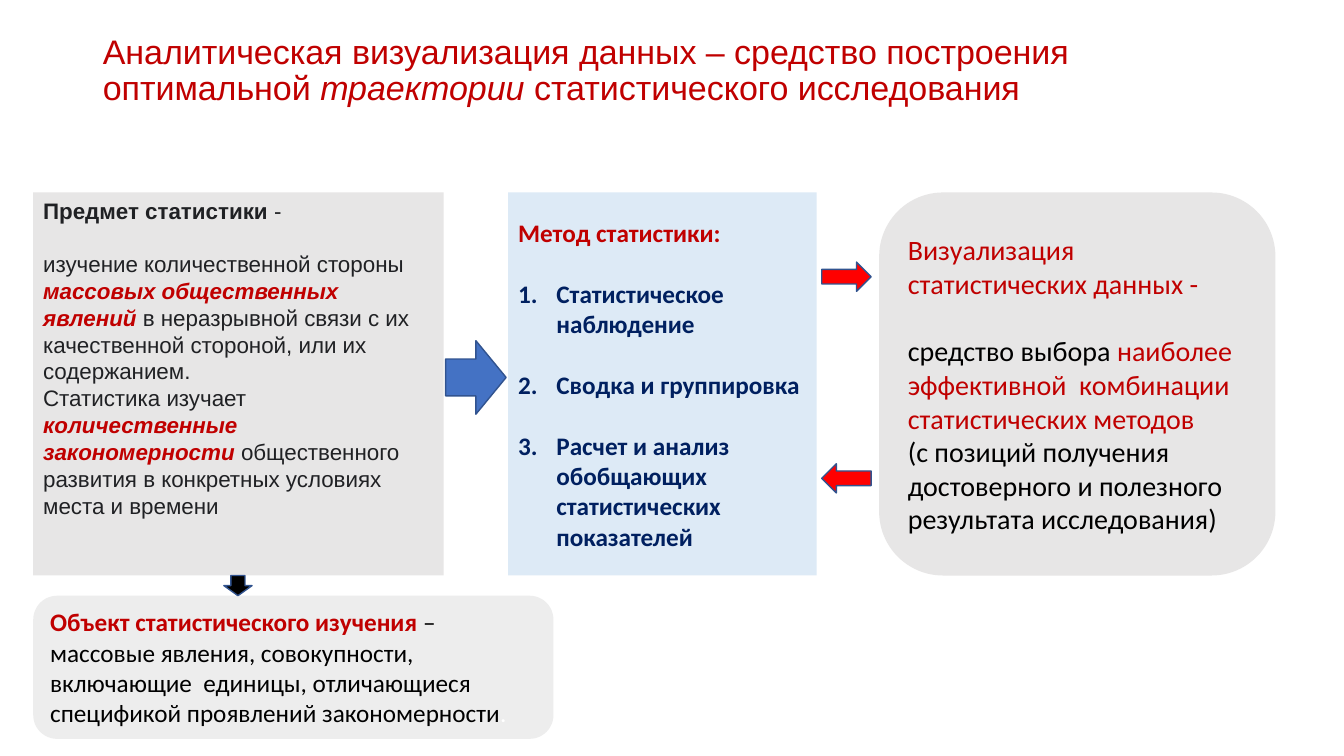
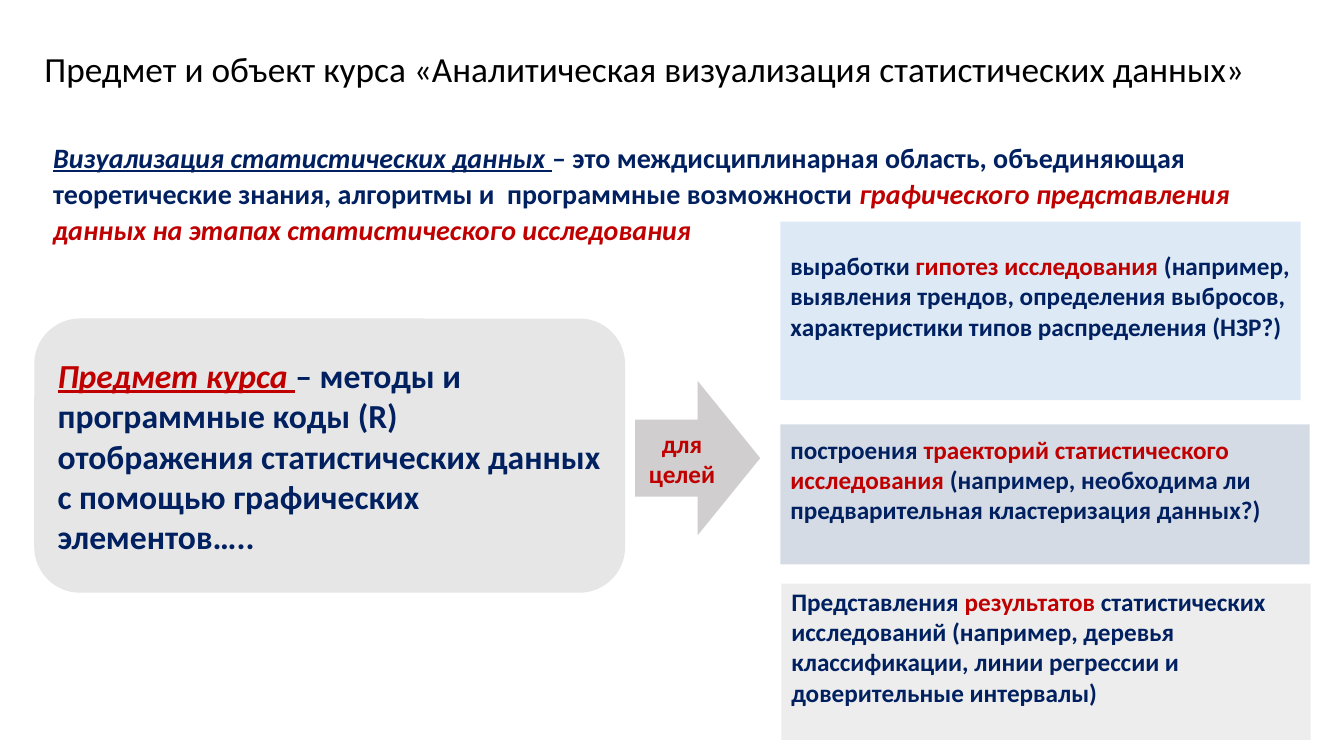
from dataclasses import dataclass

from lxml import etree
from pptx import Presentation
from pptx.dml.color import RGBColor
from pptx.enum.shapes import MSO_SHAPE
from pptx.enum.text import MSO_ANCHOR, MSO_AUTO_SIZE, PP_ALIGN
from pptx.oxml.ns import qn
from pptx.util import Inches, Pt

RECTANGLE = MSO_SHAPE.RECTANGLE
ROUNDED = MSO_SHAPE.ROUNDED_RECTANGLE
RIGHT_ARROW = MSO_SHAPE.RIGHT_ARROW
LEFT_ARROW = MSO_SHAPE.LEFT_ARROW
DOWN_ARROW = MSO_SHAPE.DOWN_ARROW
TOP = MSO_ANCHOR.TOP
MIDDLE = MSO_ANCHOR.MIDDLE
LEFT = PP_ALIGN.LEFT
CENTER = PP_ALIGN.CENTER
NO_AUTO_SIZE = MSO_AUTO_SIZE.NONE

BLACK = RGBColor(0x00, 0x00, 0x00)
WHITE = RGBColor(0xFF, 0xFF, 0xFF)
CHARCOAL = RGBColor(0x20, 0x21, 0x24)
CRIMSON = RGBColor(0xC0, 0x00, 0x00)
NAVY = RGBColor(0x00, 0x20, 0x60)
RED = RGBColor(0xFF, 0x00, 0x00)
BLUE = RGBColor(0x44, 0x72, 0xC4)
OUTLINE_BLUE = RGBColor(0x31, 0x53, 0x8F)
GRAY = RGBColor(0xE7, 0xE6, 0xE6)
LIGHT_GRAY = RGBColor(0xED, 0xED, 0xED)
ARROW_GRAY = RGBColor(0xD0, 0xCE, 0xCE)
PALE_BLUE = RGBColor(0xDD, 0xEA, 0xF6)
STEEL = RGBColor(0xD5, 0xDB, 0xE5)


@dataclass
class Run:
    text: str
    color: RGBColor
    bold: bool
    italic: bool
    underline: bool


@dataclass
class Line:
    runs: list
    space_before: float = 0
    numbered: bool = False


def run(text, color=BLACK, bold=False, italic=False, underline=False):
    return Run(text, color, bold, italic, underline)


class Deck:
    def __init__(self):
        self.presentation = Presentation()
        self.presentation.slide_width = Inches(13.33)
        self.presentation.slide_height = Inches(7.5)
        self.slide = None

    def new_slide(self, runs, left, top, width, height, size, font="Calibri"):
        layout = self.presentation.slide_layouts[5]
        self.slide = self.presentation.slides.add_slide(layout)
        title = self.slide.shapes.title
        title.left, title.top = Inches(left), Inches(top)
        title.width, title.height = Inches(width), Inches(height)
        self.fill_text(title, [Line(runs)], size, font, line_spacing=0.9)

    def fill_text(self, shape, lines, size, font="Calibri", align=LEFT,
                  anchor=MIDDLE, line_spacing=1.0, bottom=0.05):
        frame = shape.text_frame
        frame.word_wrap = True
        frame.auto_size = NO_AUTO_SIZE
        frame.vertical_anchor = anchor
        frame.margin_left = frame.margin_right = Inches(0.1)
        frame.margin_top = Inches(0.05)
        frame.margin_bottom = Inches(bottom)
        for index, line in enumerate(lines):
            paragraph = frame.add_paragraph() if index else frame.paragraphs[0]
            paragraph.alignment = align
            paragraph.line_spacing = line_spacing
            paragraph.space_before = Pt(line.space_before)
            if line.numbered:
                self.number(paragraph)
            for part in line.runs:
                piece = paragraph.add_run()
                piece.text = part.text
                piece.font.name = font
                piece.font.size = Pt(size)
                piece.font.color.rgb = part.color
                piece.font.bold = part.bold
                piece.font.italic = part.italic
                piece.font.underline = part.underline

    def number(self, paragraph):
        properties = paragraph._p.get_or_add_pPr()
        properties.set("marL", str(Inches(0.38)))
        properties.set("indent", str(-Inches(0.38)))
        color = etree.SubElement(properties, qn("a:buClr"))
        etree.SubElement(color, qn("a:srgbClr"), val=str(NAVY))
        etree.SubElement(properties, qn("a:buAutoNum"), type="arabicPeriod")

    def text(self, left, top, width, height, lines, size, **style):
        box = self.slide.shapes.add_textbox(
            Inches(left), Inches(top), Inches(width), Inches(height))
        self.fill_text(box, lines, size, **style)

    def shape(self, kind, left, top, width, height, fill, outline=None):
        shape = self.slide.shapes.add_shape(
            kind, Inches(left), Inches(top), Inches(width), Inches(height))
        shape.shadow.inherit = False
        shape.fill.solid()
        shape.fill.fore_color.rgb = fill
        if outline is None:
            shape.line.fill.background()
        else:
            shape.line.color.rgb = outline
            shape.line.width = Pt(1)
        return shape

    def panel(self, kind, left, top, width, height, fill, lines, size, **style):
        shape = self.shape(kind, left, top, width, height, fill)
        self.fill_text(shape, lines, size, **style)


def build_method_slide(deck):
    deck.new_slide([
        run("Аналитическая визуализация данных – средство построения оптимальной ", CRIMSON),
        run("траектории", CRIMSON, italic=True),
        run(" статистического исследования", CRIMSON),
    ], 0.92, 0.4, 11.5, 0.62, 24.3, "Arial")

    row_top, row_height = 1.91, 3.8
    deck.panel(RECTANGLE, 0.33, row_top, 4.07, row_height, GRAY, [
        Line([run("Предмет статистики", CHARCOAL, bold=True), run(" -", CHARCOAL)]),
        Line([
            run("изучение количественной стороны ", CHARCOAL),
            run("массовых общественных явлений ", CRIMSON, bold=True, italic=True),
            run("в неразрывной связи с их качественной стороной, или их содержанием.", CHARCOAL),
        ], space_before=18.4),
        Line([
            run("Статистика изучает ", CHARCOAL),
            run("количественные закономерности ", CRIMSON, bold=True, italic=True),
            run("общественного развития в конкретных условиях места и времени", CHARCOAL),
        ]),
    ], 16, font="Arial", anchor=TOP)

    stages = ["Статистическое наблюдение", "Сводка и группировка",
              "Расчет и анализ обобщающих статистических показателей"]
    deck.panel(RECTANGLE, 5.04, row_top, 3.06, row_height, PALE_BLUE, [
        Line([run("Метод статистики:", CRIMSON, bold=True)]),
        *[Line([run(stage, NAVY, bold=True)], space_before=22, numbered=True)
          for stage in stages],
    ], 18)

    deck.panel(ROUNDED, 8.72, row_top, 3.93, row_height, GRAY, [
        Line([run("Визуализация статистических данных -", CRIMSON)]),
        Line([
            run("средство выбора "),
            run("наиболее эффективной  комбинации статистических методов", CRIMSON),
        ], space_before=24.4),
        Line([run("(с позиций получения достоверного и полезного результата исследования)")]),
    ], 20)

    deck.panel(ROUNDED, 0.33, 5.91, 5.16, 1.42, LIGHT_GRAY, [Line([
        run("Объект статистического изучения ", CRIMSON, bold=True),
        run("– массовые явления, совокупности, включающие  единицы, "
            "отличающиеся спецификой проявлений закономерности"),
        run(".", WHITE),
    ])], 18)

    for kind, left, top, width, height, fill in [
        (RIGHT_ARROW, 4.42, 3.38, 0.6, 0.73, BLUE),
        (RIGHT_ARROW, 8.15, 2.6, 0.49, 0.29, RED),
        (LEFT_ARROW, 8.15, 4.6, 0.49, 0.29, RED),
        (DOWN_ARROW, 2.22, 5.71, 0.28, 0.2, BLACK),
    ]:
        deck.shape(kind, left, top, width, height, fill, OUTLINE_BLUE)


def build_course_slide(deck):
    deck.new_slide([
        run("Предмет и объект курса «Аналитическая визуализация статистических данных»"),
    ], 0.34, 0.4, 12.66, 0.62, 25.2)

    deck.text(0.43, 1.32, 12.66, 1.2, [Line([
        run("Визуализация статистических данных ", NAVY, bold=True, italic=True, underline=True),
        run("– это междисциплинарная область, объединяющая теоретические знания, "
            "алгоритмы и  программные возможности ", NAVY, bold=True),
        run("графического представления данных на этапах статистического исследования",
            CRIMSON, bold=True, italic=True),
    ])], 20, anchor=TOP, line_spacing=1.07)

    deck.panel(ROUNDED, 0.34, 3.16, 5.86, 2.72, GRAY, [Line([
        run("Предмет курса ", CRIMSON, bold=True, italic=True, underline=True),
        run("– методы и программные коды (R) отображения статистических данных "
            "с помощью графических элементов…..", NAVY, bold=True),
    ])], 24)

    deck.panel(RIGHT_ARROW, 6.3, 3.78, 1.24, 1.53, ARROW_GRAY,
               [Line([run("для целей", CRIMSON, bold=True)])], 18, align=CENTER)

    for left, top, width, height, fill, opening, goal, details in [
        (7.74, 2.2, 5.16, 1.77, PALE_BLUE, "выработки ", "гипотез исследования ",
         "(например, выявления трендов, определения выбросов, "
         "характеристики типов распределения (НЗР?)"),
        (7.74, 4.21, 5.25, 1.39, STEEL, "построения ",
         "траекторий статистического исследования ",
         "(например, необходима ли предварительная кластеризация данных?)"),
        (7.75, 5.79, 5.25, 1.55, LIGHT_GRAY, "Представления ", "результатов",
         " статистических исследований (например, деревья классификации, "
         "линии регрессии и доверительные интервалы)"),
    ]:
        deck.panel(RECTANGLE, left, top, width, height, fill, [Line([
            run(opening, NAVY, bold=True),
            run(goal, CRIMSON, bold=True),
            run(details, NAVY, bold=True),
        ])], 18, bottom=0.35)


def main():
    deck = Deck()
    build_method_slide(deck)
    build_course_slide(deck)
    deck.presentation.save("out.pptx")


if __name__ == "__main__":
    main()
